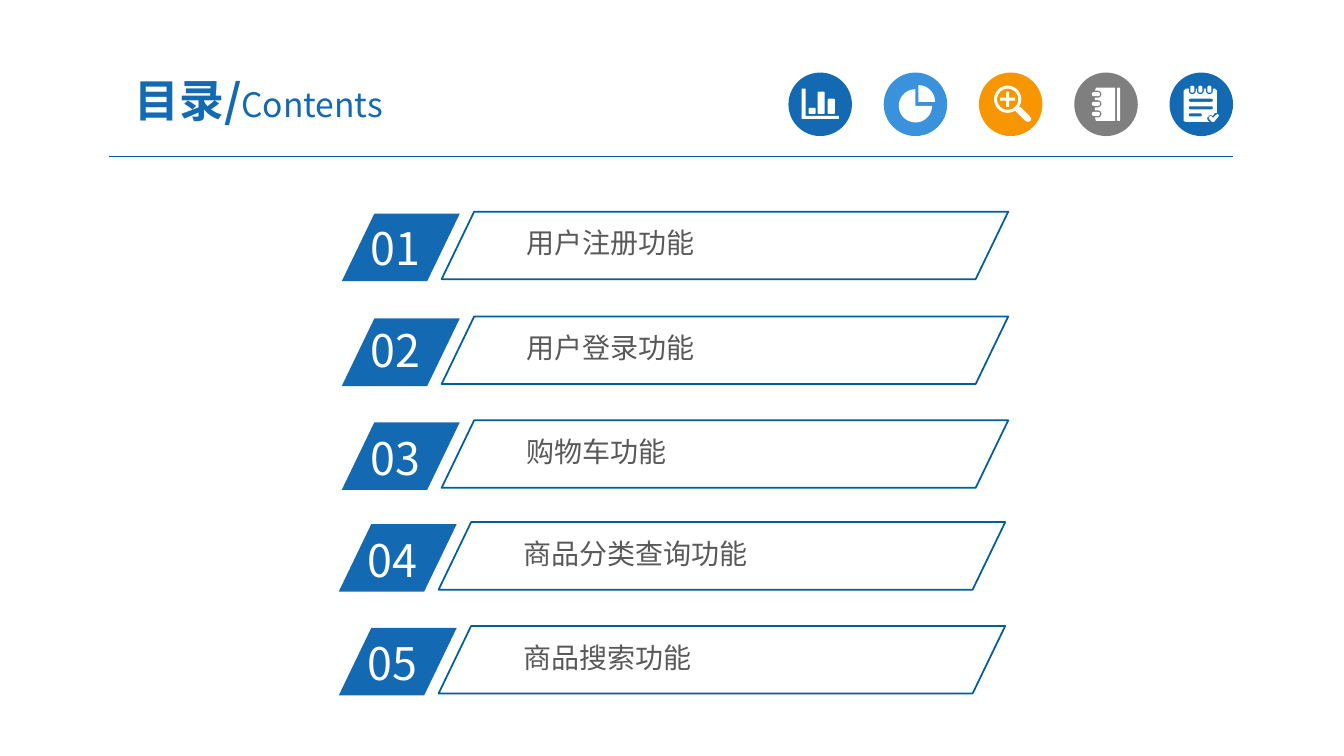
import math

import pptx
import pptx.dml.color
import pptx.enum.shapes
import pptx.enum.text
import pptx.oxml
import pptx.oxml.ns
import pptx.util

PX = 9144  # EMU in one px, 100 px to the inch
FONT = "Noto Sans CJK SC"
COLORS = {
    "blue": "1369B2", "sky": "3992DB", "orange": "F79600", "gray": "7F7F7F",
    "white": "FFFFFF", "rule": "005B9E", "frame": "005DA2", "label": "595959",
}
SHAPES = pptx.enum.shapes.MSO_SHAPE
ANCHOR = pptx.enum.text.MSO_ANCHOR
AUTO_SIZE = pptx.enum.text.MSO_AUTO_SIZE
DISC_SIZE, DISC_TOP = 63, 72
SLANT = 0.482

# left, top, top of the number box, number, label
ROWS = [
    (339, 212, 214, "01", "用户注册功能"),
    (339, 316, 315, "02", "用户登录功能"),
    (339, 419, 422, "03", "购物车功能"),
    (336, 520, 524, "04", "商品分类查询功能"),
    (336, 623, 626, "05", "商品搜索功能"),
]


def color(name):
    return pptx.dml.color.RGBColor.from_string(COLORS[name])


def emu(*lengths):
    return [round(length * PX) for length in lengths]


# Outlines, as lists of points in px
def arc(x, y, radius, start, end, steps=16):
    angles = [math.radians(start + (end - start) * i / steps) for i in range(steps + 1)]
    return [(x + radius * math.cos(a), y + radius * math.sin(a)) for a in angles]


def rounded(left, top, right, bottom, radius):
    corners = [(right - radius, bottom - radius), (left + radius, bottom - radius),
               (left + radius, top + radius), (right - radius, top + radius)]
    return [point for i, (x, y) in enumerate(corners)
            for point in arc(x, y, radius, 90 * i, 90 * i + 90, 6)]


def bar_icon():
    axes = [(795, 88), (799, 88), (799, 115), (832, 115), (832, 118), (795, 118)]
    bars = [(802, 107), (811, 91), (821, 98)]
    return [axes] + [rounded(left, top, left + 7, 113, 1) for left, top in bars]


def pie_icon():
    return [[(908, 105)] + arc(908, 105, 16.5, 0, 270, 40),
            [(911, 101)] + arc(911, 101, 16.5, 270, 360)]


def search_icon():
    x, y = 999.5, 98.5
    plus = [(-1.5, -7.5), (1.5, -7.5), (1.5, -1.5), (7.5, -1.5), (7.5, 1.5), (1.5, 1.5),
            (1.5, 7.5), (-1.5, 7.5), (-1.5, 1.5), (-7.5, 1.5), (-7.5, -1.5), (-1.5, -1.5)]
    handle = [(1007, 110), (1009, 108), (1012, 106), (1021, 115), (1023, 118),
              (1022, 120), (1019, 121), (1017, 120)]
    return [arc(x, y, 13.5, 0, 360, 40), arc(x, y, 10.5, 0, 360, 40),
            [(x + dx, y + dy) for dx, dy in plus], handle]


def notebook_icon():
    rings = (93.5, 103, 113)
    cover = [(1106, 120), (1106, 87), (1087, 87)]
    for y in rings:
        cover += [(1086, y - 3.5)] + arc(1089, y, 3.5, 270, 450) + [(1086, y + 3.5)]
    cover.append((1087, 120))
    spine = rounded(1108, 87, 1111, 120, 1)
    return [cover, spine] + [rounded(1083, y - 2, 1091, y + 2, 1.8) for y in rings]


def notepad_icon():
    clips = (1182.5, 1190.5, 1199.5)
    page = [(1174, 120), (1174, 90), (1176, 88)]
    for x in clips:
        page += [(x - 3.5, 88)] + arc(x, 90, 3.5, 180, 0) + [(x + 3.5, 88)]
    page += [(1205, 88), (1207, 90), (1207, 112), (1205, 112), (1203, 115), (1200, 114),
             (1197, 117), (1198, 120), (1200, 121), (1176, 121)]
    lines = [(98, 1203), (105.5, 1203), (112.5, 1192)]
    heart = [(1204, 121), (1202, 121), (1199, 118), (1199, 116), (1201, 115),
             (1203, 117), (1206, 114), (1208, 113), (1209, 115)]
    return ([page, heart] + [rounded(1179, y, right, y + 3, 1.4) for y, right in lines]
            + [rounded(x - 2, 85, x + 2, 92, 1.8) for x in clips])


def paint(shape, fill=None, line=None):
    shape.shadow.inherit = False
    if fill:
        shape.fill.solid()
        shape.fill.fore_color.rgb = color(fill)
    else:
        shape.fill.background()
    if line:
        shape.line.color.rgb = color(line)
        shape.line.width = pptx.util.Pt(1.25)
    else:
        shape.line.fill.background()


def add_icon(slide, left, fill, outlines):
    shapes = slide.shapes.add_group_shape().shapes
    disc = shapes.add_shape(SHAPES.OVAL, *emu(left, DISC_TOP, DISC_SIZE, DISC_SIZE))
    paint(disc, fill)
    outlines = [[emu(*point) for point in outline] for outline in outlines]
    builder = shapes.build_freeform(*outlines[0][0], scale=1.0)
    for outline in outlines:
        builder.move_to(*outline[0])
        builder.add_line_segments(outline[1:], close=True)
    paint(builder.convert_to_shape(), "white")


def add_slanted_box(shapes, box, fill=None, line=None):
    shape = shapes.add_shape(SHAPES.PARALLELOGRAM, *emu(*box))
    shape.adjustments[0] = SLANT
    paint(shape, fill, line)


def add_run(paragraph, text, size, fill, bold=False):
    run = paragraph.add_run()
    run.text = text
    formats = {"size": pptx.util.Pt(size), "bold": bold, "name": FONT}
    for name, value in formats.items():
        setattr(run.font, name, value)
    run.font.color.rgb = color(fill)
    # East Asian typeface
    properties = run.font._element
    latin = properties.find(pptx.oxml.ns.qn("a:latin"))
    east_asian = pptx.oxml.parse_xml(
        f'<a:ea {pptx.oxml.ns.nsdecls("a")} typeface="{FONT}"/>')
    latin.addnext(east_asian)


def add_text(shapes, box, margins, anchor=ANCHOR.TOP, auto_size=AUTO_SIZE.SHAPE_TO_FIT_TEXT):
    frame = shapes.add_textbox(*emu(*box)).text_frame
    horizontal, vertical = emu(*margins)
    formats = {
        "word_wrap": True, "auto_size": auto_size, "vertical_anchor": anchor,
        "margin_left": horizontal, "margin_right": horizontal,
        "margin_top": vertical, "margin_bottom": vertical,
    }
    for name, value in formats.items():
        setattr(frame, name, value)
    return frame.paragraphs[0]


def add_rule(slide, left, right, y):
    rule = slide.shapes.add_connector(
        pptx.enum.shapes.MSO_CONNECTOR.STRAIGHT, *emu(left, y, right, y))
    rule.line.color.rgb = color("rule")
    rule.line.width = pptx.util.Pt(0.75)
    rule._element.spPr.append(
        pptx.oxml.parse_xml(f'<a:effectLst {pptx.oxml.ns.nsdecls("a")}/>'))


def add_title(slide):
    paragraph = add_text(slide.shapes, (92, 63, 329, 72), (13, 7), ANCHOR.MIDDLE, AUTO_SIZE.NONE)
    paragraph.alignment = pptx.enum.text.PP_ALIGN.CENTER
    paragraph.space_before = pptx.util.Pt(6)
    add_run(paragraph, "目录/", 32, "blue", bold=True)
    add_run(paragraph, "Contents", 24, "blue")


def add_row(slide, left, top, number_top, number, label):
    shapes = slide.shapes.add_group_shape().shapes
    add_slanted_box(shapes, (left, top, 117, 67), fill="blue")
    add_run(add_text(shapes, (left + 19, number_top, 112, 64), (10, 5)), number, 32, "white")
    add_run(add_text(shapes, (left + 176, top + 8, 412, 41), (7, 4)), label, 20, "label")
    add_slanted_box(shapes, (left + 99, top - 2, 562, 67), line="frame")


def main():
    presentation = pptx.Presentation()
    presentation.slide_width, presentation.slide_height = emu(1333, 750)
    slide = presentation.slides.add_slide(presentation.slide_layouts[6])

    # Header
    add_rule(slide, 108, 1223, 155)
    icons = [("blue", bar_icon), ("sky", pie_icon), ("orange", search_icon),
             ("gray", notebook_icon), ("blue", notepad_icon)]
    for index, (fill, icon) in enumerate(icons):
        add_icon(slide, 782 + 94.5 * index, fill, icon())
    add_title(slide)

    # Contents list
    for row in ROWS:
        add_row(slide, *row)

    presentation.save("out.pptx")


if __name__ == "__main__":
    main()
